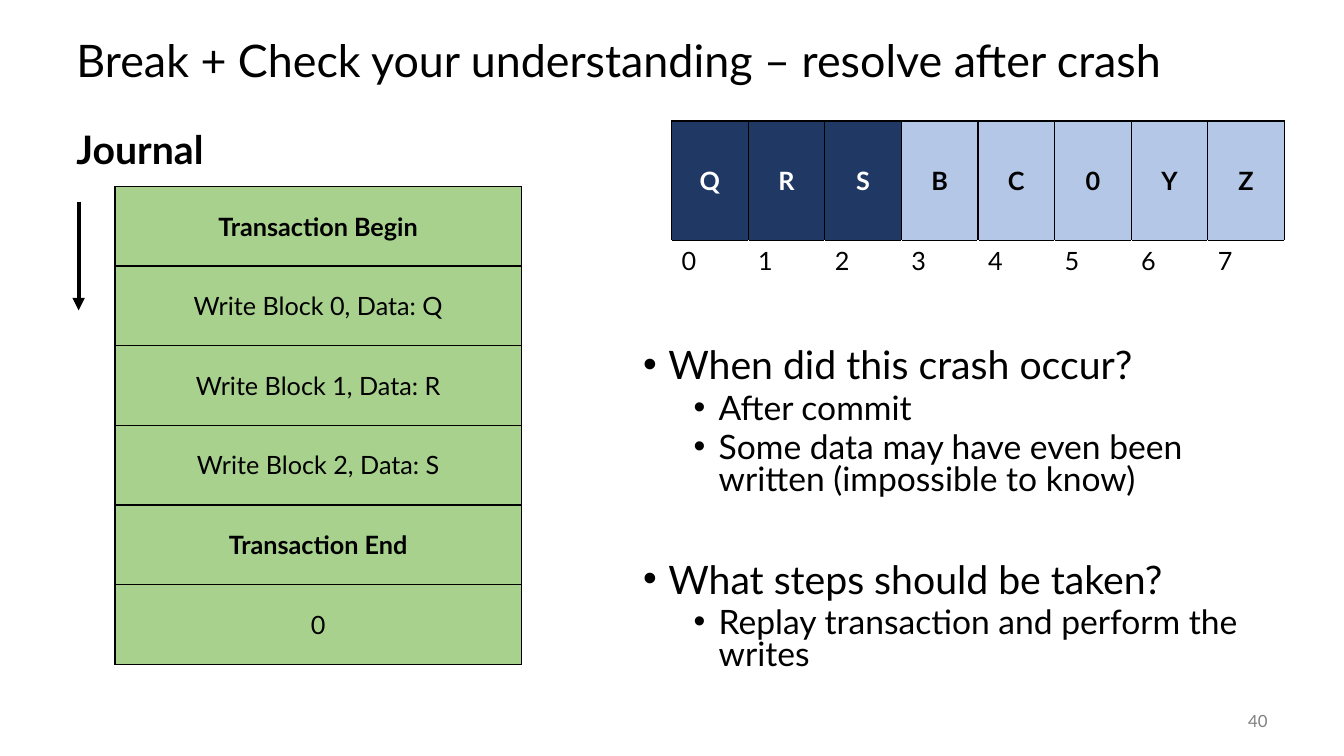
from dataclasses import dataclass

from lxml import etree
from pptx import Presentation
from pptx import util as u
from pptx.dml.color import RGBColor
from pptx.enum import shapes, text
from pptx.oxml import ns

FONT = "Lato"
BLACK = RGBColor(0x00, 0x00, 0x00)
WHITE = RGBColor(0xFF, 0xFF, 0xFF)
GRAY = RGBColor(0x80, 0x80, 0x80)
NAVY = RGBColor(0x20, 0x38, 0x64)
LIGHT_BLUE = RGBColor(0xB4, 0xC7, 0xE7)
GREEN = RGBColor(0xA9, 0xD1, 0x8E)
LEFT, CENTER, RIGHT = text.PP_ALIGN.LEFT, text.PP_ALIGN.CENTER, text.PP_ALIGN.RIGHT
TOP, MIDDLE = text.MSO_ANCHOR.TOP, text.MSO_ANCHOR.MIDDLE


@dataclass
class Line:
    words: str
    size: float
    bold: bool = False
    color: RGBColor = BLACK
    align: text.PP_ALIGN = LEFT
    spacing: float = 1.0
    before: float = 0
    bullet_indent: float = 0


@dataclass
class TextBlock:
    left: float
    top: float
    width: float
    height: float
    anchor: text.MSO_ANCHOR
    lines: list[Line]


@dataclass
class Cell:
    line: Line
    fill: RGBColor | None
    side_color: RGBColor = BLACK
    bottom_color: RGBColor = BLACK
    anchor: text.MSO_ANCHOR = MIDDLE


def question(words: str, before: float = 0) -> Line:
    return Line(words, 28, spacing=0.8, before=before, bullet_indent=0.25)


def answer(words: str) -> Line:
    return Line(words, 24, spacing=0.8, before=5, bullet_indent=0.75)


def memory_cell(letter: str, written: bool) -> Cell:
    line = Line(letter, 18, bold=True, color=WHITE if written else BLACK, align=CENTER)
    return Cell(line, NAVY if written else LIGHT_BLUE)


def journal_cell(words: str) -> Cell:
    return Cell(Line(words, 18, bold=words.startswith("Transaction"), align=CENTER), GREEN)


TEXT_BLOCKS = [
    TextBlock(0.66, 0.25, 12, 0.75, MIDDLE, [
        Line("Break + Check your understanding – resolve after crash", 32, spacing=0.9)]),
    TextBlock(0.66, 1.25, 5.75, 0.6, TOP, [Line("Journal", 28, bold=True, spacing=0.9)]),
    TextBlock(11.67, 6.95, 1, 0.4, MIDDLE, [Line("40", 12, color=GRAY, align=RIGHT)]),
    TextBlock(6.28, 3.42, 6.39, 3.33, TOP, [
        question("When did this crash occur?"),
        answer("After commit"),
        answer("Some data may have even been written (impossible to know)"),
        question("What steps should be taken?", before=47),
        answer("Replay transaction and perform the writes")]),
]
BLOCKS = "QRSBC0YZ"
WRITTEN_BLOCKS = 3
MEMORY = [
    [memory_cell(letter, i < WRITTEN_BLOCKS) for i, letter in enumerate(BLOCKS)],
    [Cell(Line(str(i), 18), None, WHITE, WHITE, TOP) for i in range(len(BLOCKS))],
]
JOURNAL = [[journal_cell(words)] for words in (
    "Transaction Begin", "Write Block 0, Data: Q", "Write Block 1, Data: R",
    "Write Block 2, Data: S", "Transaction End", "0")]


def set_all(target, values: dict) -> None:
    for name, value in values.items():
        setattr(target, name, value)


def write_line(para, line: Line) -> None:
    if line.bullet_indent:
        props = para._p.get_or_add_pPr()
        props.set("marL", str(u.Inches(line.bullet_indent)))
        props.set("indent", str(u.Inches(-0.25)))
        etree.SubElement(props, ns.qn("a:buFont")).set("typeface", "Arial")
        etree.SubElement(props, ns.qn("a:buChar")).set("char", "•")
    set_all(para, {"alignment": line.align, "line_spacing": line.spacing,
                   "space_before": u.Pt(line.before)})
    span = para.add_run()
    span.text = line.words
    set_all(span.font, {"name": FONT, "size": u.Pt(line.size), "bold": line.bold})
    span.font.color.rgb = line.color


def add_text(page, block: TextBlock) -> None:
    box = page.shapes.add_textbox(u.Inches(block.left), u.Inches(block.top),
                                  u.Inches(block.width), u.Inches(block.height))
    frame = box.text_frame
    set_all(frame, {"word_wrap": True, "vertical_anchor": block.anchor})
    for i, line in enumerate(block.lines):
        write_line(frame.add_paragraph() if i else frame.paragraphs[0], line)


def add_borders(table_cell, cell: Cell) -> None:
    props = table_cell._tc.get_or_add_tcPr()
    edges = {"lnL": cell.side_color, "lnR": cell.side_color,
             "lnT": BLACK, "lnB": cell.bottom_color}
    for edge, color in edges.items():
        border = etree.SubElement(props, ns.qn(f"a:{edge}"), w=str(u.Pt(1)))
        fill = etree.SubElement(border, ns.qn("a:solidFill"))
        etree.SubElement(fill, ns.qn("a:srgbClr"), val=str(color))


def add_grid(page, left: float, top: float, column_width: float,
             row_heights: list[float], cells: list[list[Cell]]) -> None:
    columns = len(cells[0])
    frame = page.shapes.add_table(
        len(cells), columns, u.Inches(left), u.Inches(top),
        u.Inches(column_width * columns), u.Inches(sum(row_heights)))
    table = frame.table
    set_all(table, {"first_row": False, "horz_banding": False})
    for column in table.columns:
        column.width = u.Inches(column_width)
    for r, (height, row) in enumerate(zip(row_heights, cells)):
        table.rows[r].height = u.Inches(height)
        for c, cell in enumerate(row):
            table_cell = table.cell(r, c)
            add_borders(table_cell, cell)
            if cell.fill is None:
                table_cell.fill.background()
            else:
                table_cell.fill.solid()
                table_cell.fill.fore_color.rgb = cell.fill
            table_cell.vertical_anchor = cell.anchor
            write_line(table_cell.text_frame.paragraphs[0], cell.line)


def add_down_arrow(page, x: float, top: float, bottom: float) -> None:
    arrow = page.shapes.add_connector(shapes.MSO_CONNECTOR.STRAIGHT, u.Inches(x),
                                      u.Inches(top), u.Inches(x), u.Inches(bottom))
    arrow.line.color.rgb = BLACK
    arrow.line.width = u.Pt(3)
    etree.SubElement(arrow.line._get_or_add_ln(), ns.qn("a:tailEnd"), type="triangle")
    etree.SubElement(arrow._element.spPr, ns.qn("a:effectLst"))


def main() -> None:
    deck = Presentation()
    set_all(deck, {"slide_width": u.Inches(13.33), "slide_height": u.Inches(7.5)})
    page = deck.slides.add_slide(deck.slide_layouts[6])
    for block in TEXT_BLOCKS:
        add_text(page, block)
    add_grid(page, 6.66, 1.2, 0.76, [1.19, 0.53], MEMORY)
    add_grid(page, 1.14, 1.85, 4.03, [0.79] * len(JOURNAL), JOURNAL)
    add_down_arrow(page, 0.78, 2, 3.08)
    deck.save("out.pptx")


if __name__ == "__main__":
    main()
